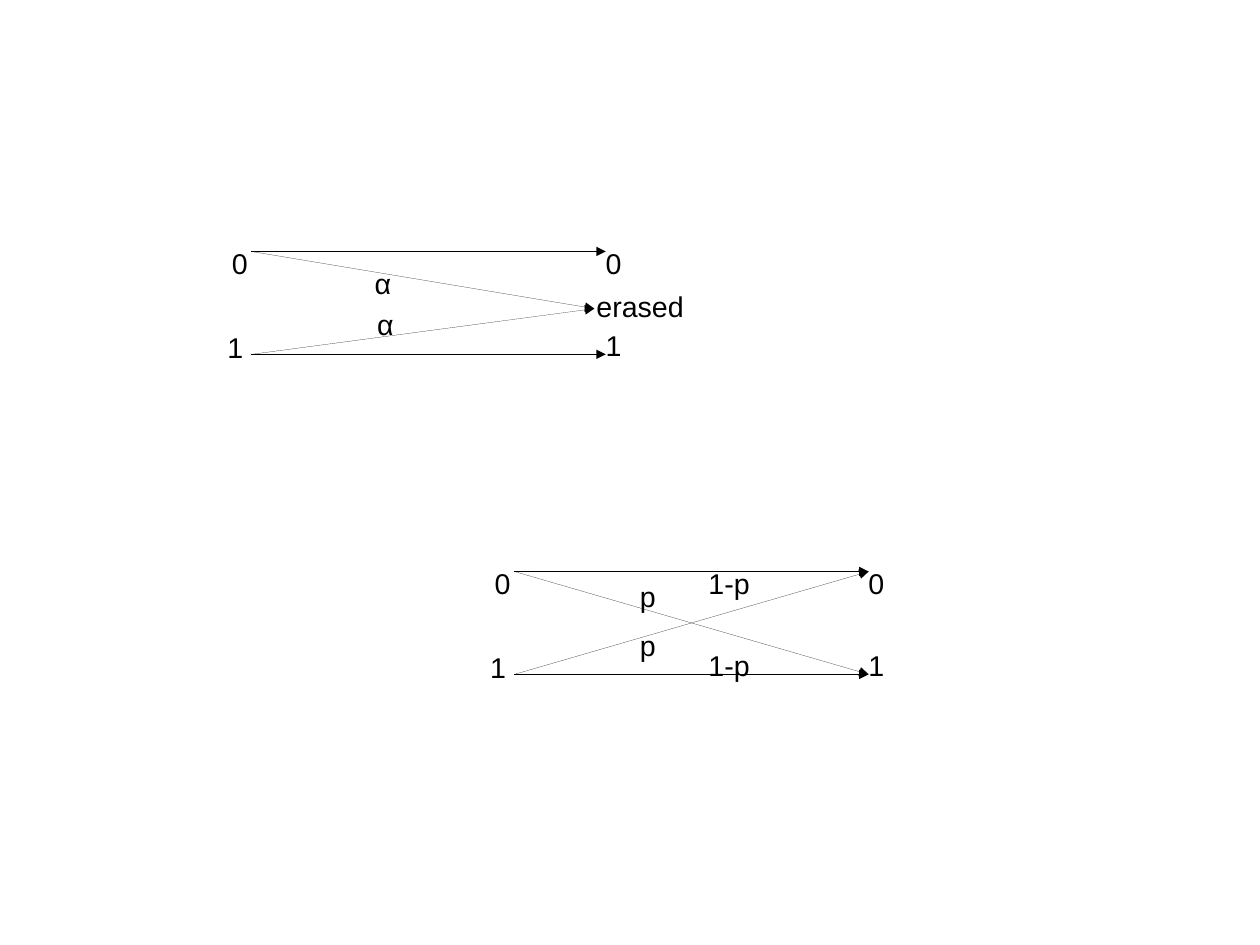
from dataclasses import dataclass

from lxml.etree import SubElement
from pptx import Presentation
from pptx.dml.color import RGBColor
from pptx.enum.shapes import MSO_CONNECTOR
from pptx.enum.text import MSO_ANCHOR, MSO_AUTO_SIZE
from pptx.oxml.ns import qn
from pptx.slide import Slide
from pptx.util import Inches, Pt

BLACK = RGBColor(0x00, 0x00, 0x00)
WHITE = RGBColor(0xFF, 0xFF, 0xFF)
CM_PER_INCH = 2.54
SPAN = 3.1
DROP = 0.9


@dataclass(frozen=True)
class Label:
    text: str
    x: float
    y: float
    width: float = 0.45
    height: float = 0.38


@dataclass(frozen=True)
class Transition:
    start_y: float
    end_x: float
    end_y: float


@dataclass(frozen=True)
class Channel:
    left: float
    top: float
    transitions: tuple[Transition, ...]
    labels: tuple[Label, ...]


STRAIGHT = (Transition(0, SPAN, 0), Transition(DROP, SPAN, DROP))
BITS = (
    Label("0", -0.27, -0.1, 0.35, 0.66),
    Label("1", -0.31, 0.64, 0.35, 0.66),
    Label("0", 3, -0.1, 1.2),
    Label("1", 3, 0.62, 1.2),
)
ERASURE = Channel(
    2.2, 2.2,
    (Transition(0, 3, 0.5), Transition(DROP, 3, 0.5)),
    (
        Label("α", 0.98, 0.08),
        Label("α", 1, 0.44),
        Label("erased", 2.92, 0.28, 1.2),
    ),
)
SYMMETRIC = Channel(
    4.5, 5,
    (Transition(0, SPAN, DROP), Transition(DROP, SPAN, 0)),
    (
        Label("p", 1, 0.02),
        Label("p", 1, 0.44),
        Label("1-p", 1.6, -0.1, 0.6, 0.4),
        Label("1-p", 1.6, 0.62, 0.6, 0.66),
    ),
)


def add_text(slide: Slide, text: str, *, left: float, top: float, width: float,
             height: float, size: float = 18, font: str = "Arial",
             color: RGBColor = BLACK) -> None:
    box = slide.shapes.add_textbox(
        Inches(left), Inches(top), Inches(width), Inches(height))
    frame = box.text_frame
    frame.word_wrap = True
    frame.auto_size = MSO_AUTO_SIZE.SHAPE_TO_FIT_TEXT
    frame.vertical_anchor = MSO_ANCHOR.TOP
    run = frame.paragraphs[0].add_run()
    run.text = text
    run.font.size = Pt(size)
    run.font.name = font
    run.font.color.rgb = color


def add_arrow(slide: Slide, x1: float, y1: float, x2: float, y2: float) -> None:
    arrow = slide.shapes.add_connector(
        MSO_CONNECTOR.STRAIGHT, Inches(x1), Inches(y1), Inches(x2), Inches(y2))
    arrow.line.color.rgb = BLACK
    properties = arrow.element.spPr
    outline = properties.find(qn("a:ln"))
    outline.set("w", "0")
    SubElement(outline, qn("a:tailEnd"), type="triangle")
    SubElement(properties, qn("a:effectLst"))


def draw_channel(slide: Slide, channel: Channel) -> None:
    for transition in STRAIGHT + channel.transitions:
        add_arrow(slide, channel.left, channel.top + transition.start_y,
                  channel.left + transition.end_x, channel.top + transition.end_y)
    for label in BITS + channel.labels:
        add_text(slide, label.text, left=channel.left + label.x,
                 top=channel.top + label.y, width=label.width, height=label.height)


def main() -> None:
    presentation = Presentation()
    presentation.slide_width = Inches(28 / CM_PER_INCH)
    presentation.slide_height = Inches(21 / CM_PER_INCH)
    slide = presentation.slides.add_slide(presentation.slide_layouts[6])
    slide.background.fill.solid()
    slide.background.fill.fore_color.rgb = WHITE
    for channel in (ERASURE, SYMMETRIC):
        draw_channel(slide, channel)
    presentation.save("out.pptx")


if __name__ == "__main__":
    main()
